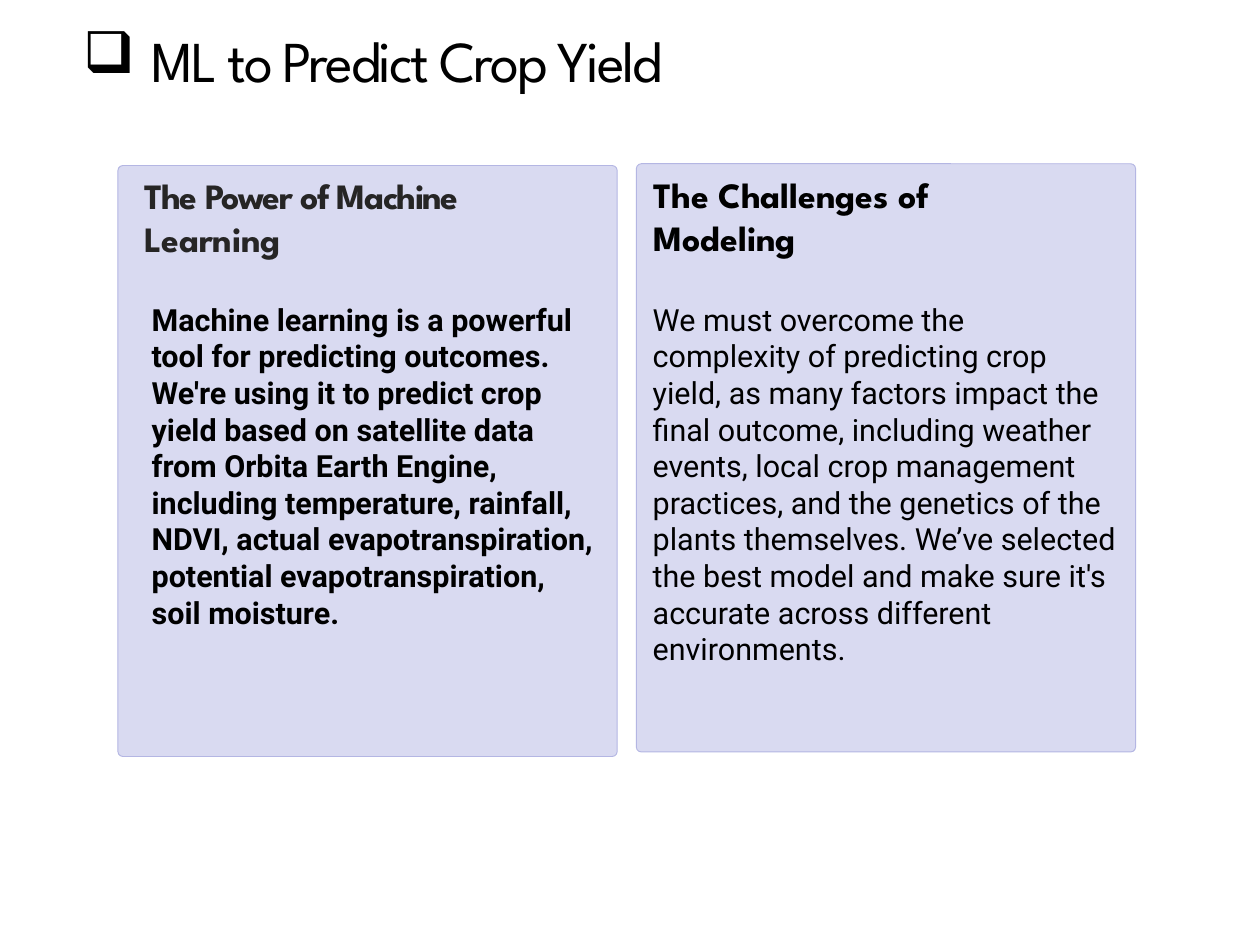
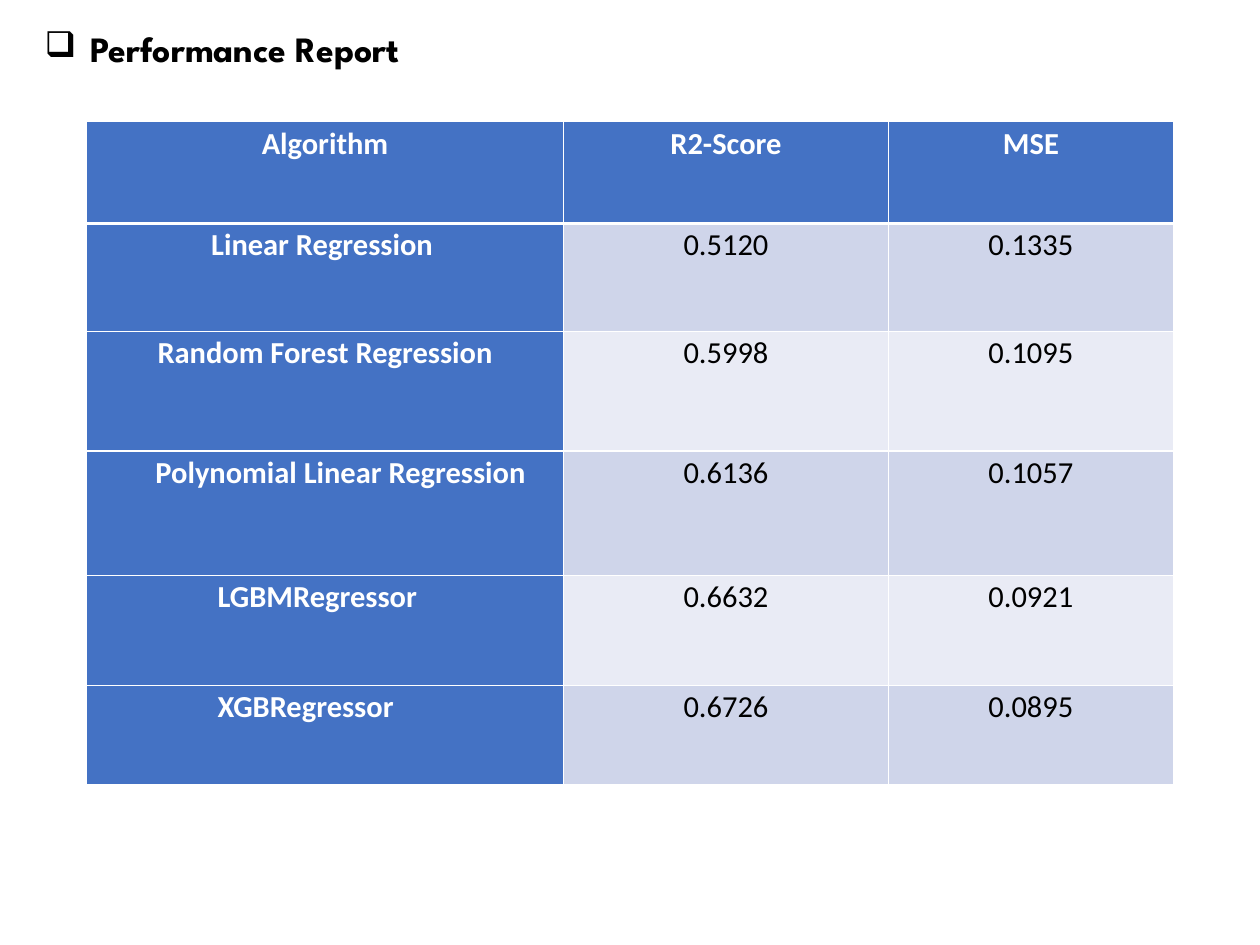
from lxml import etree
from pptx import Presentation
from pptx import util as u
from pptx.dml.color import RGBColor
from pptx.enum import shapes, text
from pptx.oxml.ns import qn

SCALE = 9144
WIDTH, HEIGHT = 1378, 1033

BLACK, WHITE, CHARCOAL = "000000", "FFFFFF", "262525"
PANEL, PANEL_EDGE = "D9DAF1", "B4B6E3"
HEADER_BLUE = "4472C4"
BANDS = ("CFD5EA", "E9EBF5")
HEADING_FONT, BODY_FONT, TABLE_FONT = "League Spartan", "Roboto", "Calibri"
TITLE_BULLET = "❑"
TIGHT = (0, 2, 0, 0)
ROOMY = (10, 5, 10, 5)

PANELS = [
    {
        "box": (129, 181, 546, 646),
        "heading": {
            "runs": [("The ", -1.1), ("Power ", -1.2), ("of Machine ", -1.1), ("Learning", -0.1)],
            "box": (156, 188, 500, 96), "color": CHARCOAL, "insets": TIGHT, "indent": (2, 0),
        },
        "body": {
            "runs": [("Machine learning is a powerful tool for predicting outcomes. We're using it "
                      "to predict crop yield based on satellite data from Orbita Earth Engine, "
                      "including temperature, rainfall, NDVI, actual evapotranspiration, "
                      "potential evapotranspiration, soil moisture.", 0)],
            "box": (156, 324, 508, 414), "bold": True,
        },
    },
    {
        "box": (696, 179, 546, 643),
        "heading": {
            "runs": [("The Challenges of Modeling", 0)],
            "box": (705, 184, 434, 104),
        },
        "body": {
            "runs": [("We must overcome the complexity of predicting crop yield, as many factors "
                      "impact the final outcome, including weather events, local crop management "
                      "practices, and the genetics of the plants themselves. We’ve selected the "
                      "best model and make sure it's accurate across different environments.", 0)],
            "box": (704, 324, 526, 454),
        },
    },
]

SCORE_HEADER = ("Algorithm", "R2-Score", "MSE")
SCORES = [
    ("Linear Regression", "0.5120", "0.1335"),
    ("Random Forest Regression", "0.5998", "0.1095"),
    ("Polynomial Linear Regression", "0.6136", "0.1057"),
    ("LGBMRegressor", "0.6632", "0.0921"),
    ("XGBRegressor", "0.6726", "0.0895"),
]
NAME_INDENTS = {
    "Linear Regression": 128,
    "Polynomial Linear Regression": 67,
    "LGBMRegressor": 135,
    "XGBRegressor": 135,
}
SCORE_ORIGIN = (95, 133)
COLUMN_WIDTHS = (521, 356, 311)
ROW_HEIGHTS = (111, 118, 131, 136, 120, 109)


def px(length):
    return u.Emu(length * SCALE)


def place(box):
    return [px(length) for length in box]


def color(value):
    return RGBColor.from_string(value)


def set_font(paragraph, name, size, hue, bold):
    font = paragraph.font
    font.name, font.size, font.bold = name, u.Pt(size), bold
    font.color.rgb = color(hue)


def set_indent(paragraph, left, first):
    props = paragraph._p.get_or_add_pPr()
    props.set("marL", str(px(left)))
    props.set("indent", str(px(first)))
    return props


def add_text(slide, runs, box, font, size, color=BLACK, bold=False, insets=ROOMY,
             indent=None, bullet=None, spacing=None, anchor=text.MSO_ANCHOR.TOP):
    frame = slide.shapes.add_textbox(*place(box)).text_frame
    frame.word_wrap = True
    frame.vertical_anchor = anchor
    (frame.margin_left, frame.margin_top,
     frame.margin_right, frame.margin_bottom) = place(insets)
    paragraph = frame.paragraphs[0]
    if spacing:
        paragraph.line_spacing = spacing
    if indent:
        set_indent(paragraph, *indent)
    if bullet:
        etree.SubElement(paragraph._p.get_or_add_pPr(), qn("a:buChar"), char=bullet)
    set_font(paragraph, font, size, color, bold)
    for words, tracking in runs:
        run = paragraph.add_run()
        run.text = words
        if tracking:
            run._r.get_or_add_rPr().set("spc", str(round(tracking * 100)))


def add_title(slide, words, box, size, indent, tracking=0, **style):
    add_text(slide, [(words, tracking)], box, HEADING_FONT, size,
             indent=indent, bullet=TITLE_BULLET, **style)


def add_panel(slide, box):
    panel = slide.shapes.add_shape(shapes.MSO_SHAPE.ROUNDED_RECTANGLE, *place(box))
    panel.adjustments[0] = 0.01
    panel.shadow.inherit = False
    panel.fill.solid()
    panel.fill.fore_color.rgb = color(PANEL)
    panel.line.color.rgb = color(PANEL_EDGE)
    panel.line.width = u.Pt(0.75)


def set_borders(cell, top, bottom):
    props = cell._tc.get_or_add_tcPr()
    edges = (("a:lnL", 1), ("a:lnR", 1), ("a:lnT", top), ("a:lnB", bottom))
    for position, (edge, points) in enumerate(edges):
        line = etree.Element(qn(edge), w=str(u.Pt(points)))
        fill = etree.SubElement(line, qn("a:solidFill"))
        etree.SubElement(fill, qn("a:srgbClr"), val=WHITE)
        props.insert(position, line)


def fill_cell(cell, words, row, column):
    labelled = row == 0 or column == 0
    cell.fill.solid()
    cell.fill.fore_color.rgb = color(HEADER_BLUE if labelled else BANDS[(row - 1) % 2])
    (cell.margin_left, cell.margin_top,
     cell.margin_right, cell.margin_bottom) = place((8, 1, 8, 0))
    set_borders(cell, top=3 if row == 1 else 1, bottom=3 if row == 0 else 1)
    paragraph = cell.text_frame.paragraphs[0]
    paragraph.text = words
    paragraph.line_spacing = 1.07
    if words in NAME_INDENTS:
        paragraph.alignment = text.PP_ALIGN.LEFT
        set_indent(paragraph, NAME_INDENTS[words], 0)
    else:
        paragraph.alignment = text.PP_ALIGN.CENTER
    set_font(paragraph, TABLE_FONT, 24, WHITE if labelled else BLACK, labelled)


def build_prediction(slide):
    add_title(slide, "ML to Predict Crop Yield", (89, 33, 801, 71), 45.5, (77, -75),
              tracking=-1.8, insets=TIGHT, spacing=0.9, anchor=text.MSO_ANCHOR.MIDDLE)
    for panel in PANELS:
        add_panel(slide, panel["box"])
        add_text(slide, font=HEADING_FONT, size=28, bold=True, **panel["heading"])
        add_text(slide, font=BODY_FONT, size=24, **panel["body"])


def build_performance(slide):
    rows = [SCORE_HEADER, *SCORES]
    box = (*SCORE_ORIGIN, sum(COLUMN_WIDTHS), sum(ROW_HEIGHTS))
    scores = slide.shapes.add_table(len(rows), len(SCORE_HEADER), *place(box)).table
    scores.horz_banding = False
    for column, width in zip(scores.columns, COLUMN_WIDTHS):
        column.width = px(width)
    for row, height in zip(scores.rows, ROW_HEIGHTS):
        row.height = px(height)
    for r, values in enumerate(rows):
        for c, words in enumerate(values):
            fill_cell(scores.cell(r, c), words, r, c)
    add_title(slide, "Performance Report", (39, 25, 492, 57), 28, (50, -50), bold=True)


def main():
    deck = Presentation()
    deck.slide_width, deck.slide_height = px(WIDTH), px(HEIGHT)
    for build in (build_prediction, build_performance):
        build(deck.slides.add_slide(deck.slide_layouts[6]))
    deck.save("out.pptx")


if __name__ == "__main__":
    main()
